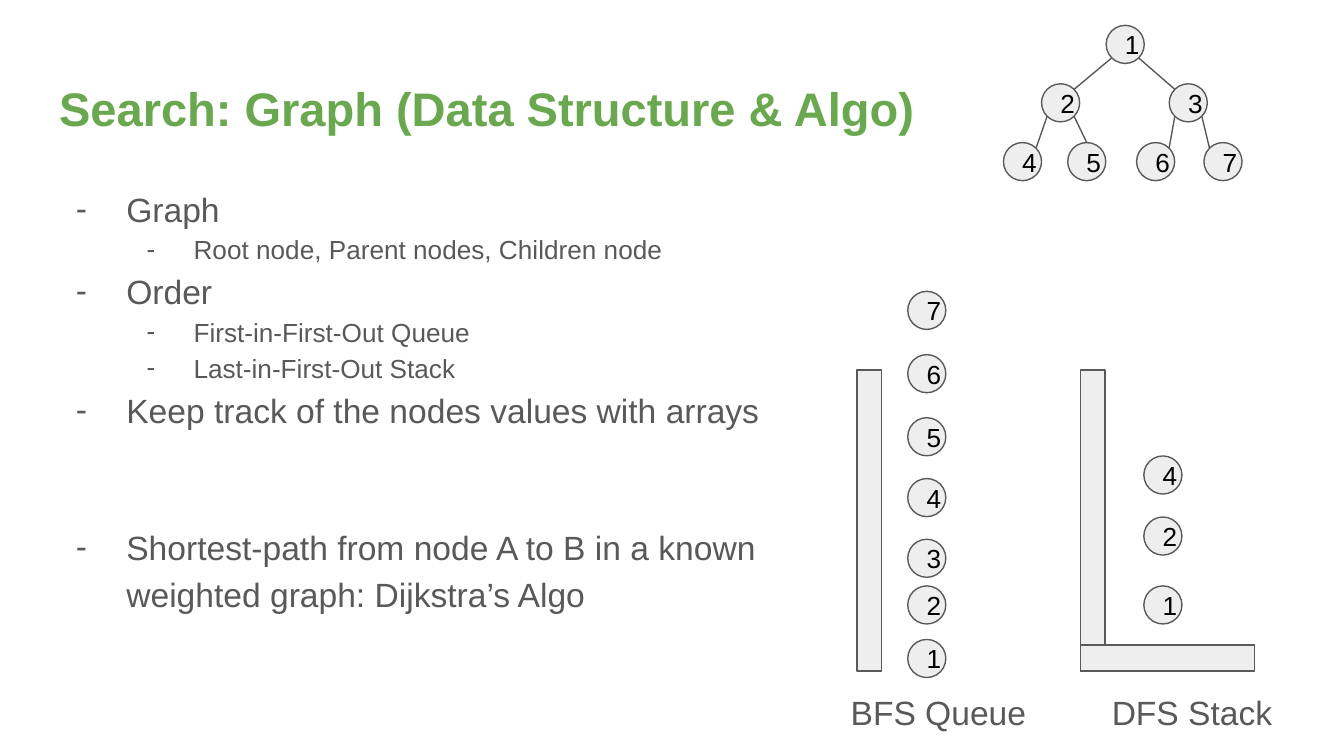
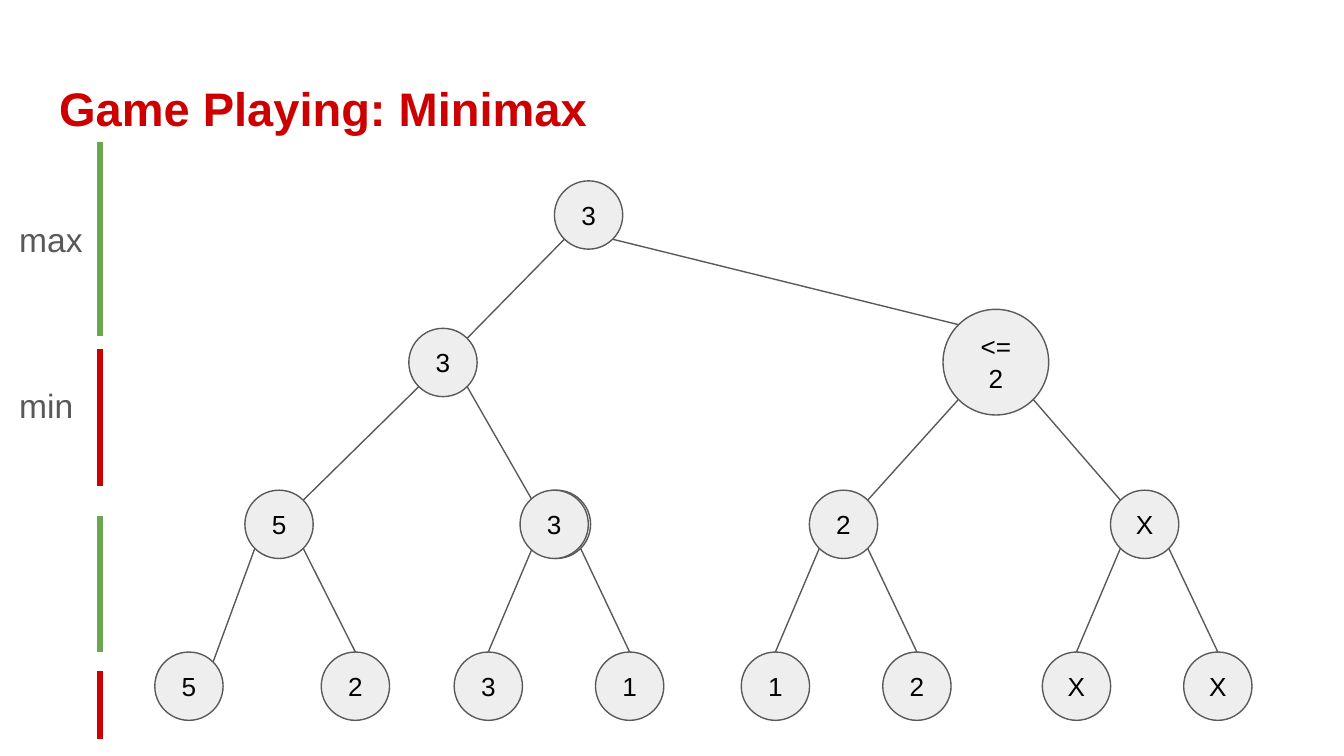
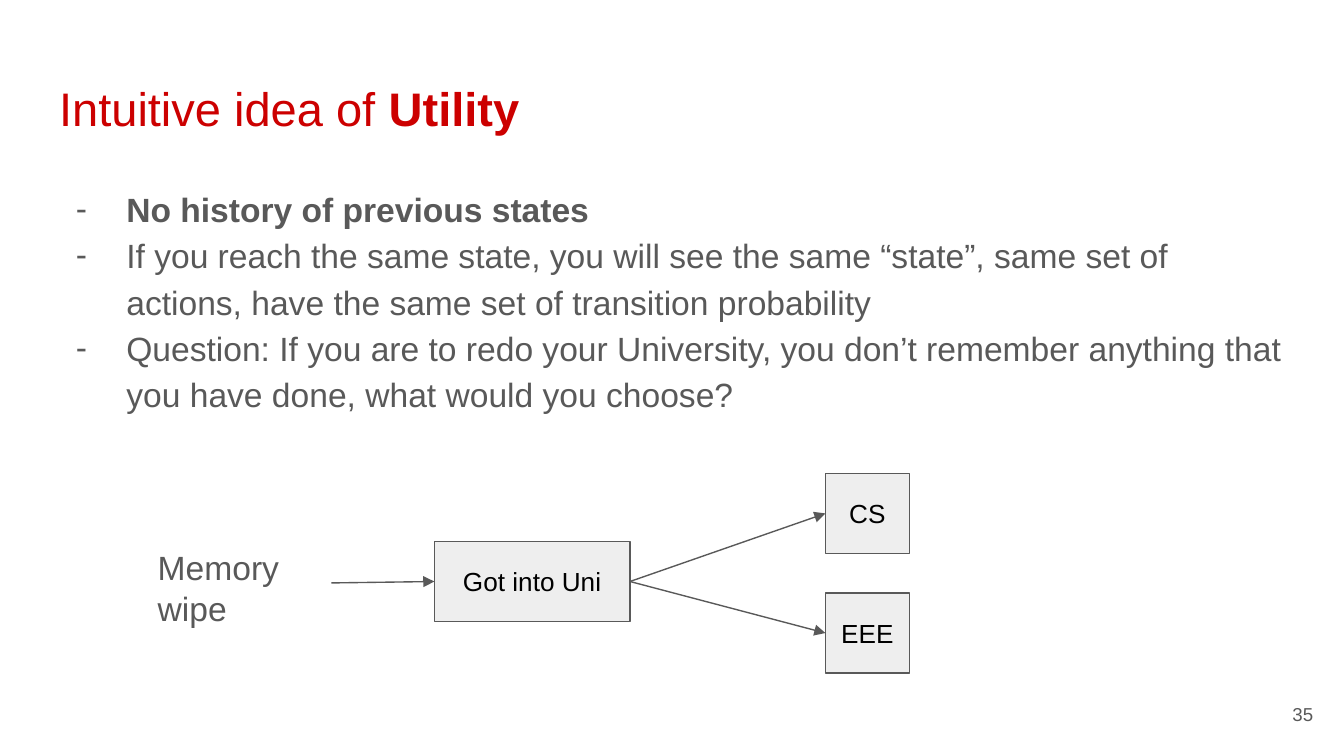
import pptx
import pptx.dml.color
import pptx.enum.shapes
import pptx.enum.text
import pptx.oxml.ns
import pptx.util
from lxml import etree

Pt = pptx.util.Pt
RGBColor = pptx.dml.color.RGBColor
SHAPES = pptx.enum.shapes.MSO_SHAPE
ANCHOR = pptx.enum.text.MSO_ANCHOR
ALIGN = pptx.enum.text.PP_ALIGN
qn = pptx.oxml.ns.qn

GREEN = RGBColor(0x6A, 0xA8, 0x4F)
RED = RGBColor(0xCC, 0x00, 0x00)
GRAY = RGBColor(0x59, 0x59, 0x59)
PALE = RGBColor(0xEE, 0xEE, 0xEE)
BLACK = RGBColor(0x00, 0x00, 0x00)

TITLE_AND_BODY, TITLE_ONLY = 1, 5
TEXT_LEFT, TITLE_TOP, BODY_TOP, FULL_WIDTH = 24.5, 35.3, 90.7, 671
SMALL_NODE, LARGE_NODE, WIDE_NODE = 20.4, 36.6, 56.6
LEVELS = [
    {"size": 18, "margin": 36, "indent": -27},
    {"size": 14, "margin": 72, "indent": -25.2},
]
FRAME_FORMAT = {
    "word_wrap": True,
    "auto_size": pptx.enum.text.MSO_AUTO_SIZE.NONE,
    "margin_left": Pt(7.2),
    "margin_right": Pt(7.2),
    "margin_top": Pt(7.2),
    "margin_bottom": Pt(7.2),
}

# Places on a circle's rim, as horizontal and vertical direction from its centre
TOP = (0, -1)
TOP_LEFT, TOP_RIGHT = (-0.71, -0.71), (0.71, -0.71)
BOTTOM_LEFT, BOTTOM_RIGHT = (-0.71, 0.71), (0.71, 0.71)


def set_attributes(target, values):
    for name, value in values.items():
        setattr(target, name, value)


def place(shape, left, top, width, height):
    set_attributes(shape, {"left": Pt(left), "top": Pt(top),
                           "width": Pt(width), "height": Pt(height)})


def format_frame(shape, anchor):
    set_attributes(shape.text_frame, {**FRAME_FORMAT, "vertical_anchor": anchor})


def add_run(paragraph, text, size, color, bold=False):
    run = paragraph.add_run()
    run.text = text
    set_attributes(run.font, {"name": "Arial", "size": Pt(size), "bold": bold})
    run.font.color.rgb = color


def write(shape, text, size, color, align=ALIGN.LEFT, anchor=ANCHOR.TOP):
    format_frame(shape, anchor)
    paragraph = shape.text_frame.paragraphs[0]
    paragraph.alignment = align
    add_run(paragraph, text, size, color)


def add_slide(presentation, layout, title_runs, color, title_width=FULL_WIDTH):
    """Add a slide whose title is a list of (text, bold) runs."""
    slide = presentation.slides.add_slide(presentation.slide_layouts[layout])
    title = slide.shapes.title
    place(title, TEXT_LEFT, TITLE_TOP, title_width, 45.4)
    format_frame(title, ANCHOR.TOP)
    paragraph = title.text_frame.paragraphs[0]
    paragraph.alignment = ALIGN.LEFT
    for text, bold in title_runs:
        add_run(paragraph, text, 25.2, color, bold)
    return slide


def add_dash(paragraph, margin, indent):
    properties = paragraph._p.get_or_add_pPr()
    properties.set("marL", str(Pt(margin)))
    properties.set("indent", str(Pt(indent)))
    bullet_color = etree.SubElement(properties, qn("a:buClr"))
    etree.SubElement(bullet_color, qn("a:srgbClr"), val=str(GRAY))
    etree.SubElement(properties, qn("a:buFont"), typeface="Arial")
    etree.SubElement(properties, qn("a:buChar"), char="-")


def fill_body(slide, width, height, items):
    """Fill the body with (text, level, bold, space before) items."""
    body = slide.placeholders[1]
    place(body, TEXT_LEFT, BODY_TOP, width, height)
    format_frame(body, ANCHOR.TOP)
    frame = body.text_frame
    for index, (text, level, bold, space) in enumerate(items):
        paragraph = frame.add_paragraph() if index else frame.paragraphs[0]
        style = LEVELS[level]
        add_dash(paragraph, style["margin"], style["indent"])
        set_attributes(paragraph, {"level": level, "line_spacing": 1.15,
                                   "space_before": Pt(space), "alignment": ALIGN.LEFT})
        add_run(paragraph, text, style["size"], GRAY, bold)


def add_label(slide, text, left, top, width, height, size=18, **options):
    label = slide.shapes.add_textbox(Pt(left), Pt(top), Pt(width), Pt(height))
    write(label, text, size, GRAY, **options)
    return label


def add_figure(slide, kind, left, top, width, height, text=""):
    figure = slide.shapes.add_shape(kind, Pt(left), Pt(top), Pt(width), Pt(height))
    figure.shadow.inherit = False
    figure.fill.solid()
    figure.fill.fore_color.rgb = PALE
    figure.line.color.rgb = GRAY
    figure.line.width = Pt(0.75)
    if text:
        write(figure, text, 14, BLACK, ALIGN.CENTER, ANCHOR.MIDDLE)
    return figure


def add_node(slide, text, left, top, diameter):
    return add_figure(slide, SHAPES.OVAL, left, top, diameter, diameter, text)


def add_line(slide, start, end, color=GRAY, weight=0.75):
    line = slide.shapes.add_connector(
        pptx.enum.shapes.MSO_CONNECTOR.STRAIGHT, *map(Pt, start + end))
    line.line.color.rgb = color
    line.line.width = Pt(weight)
    etree.SubElement(line._element.spPr, qn("a:effectLst"))
    return line


def add_arrow(slide, source, target):
    """Join the right side of source to the left side of target."""
    arrow = add_line(slide, (0, 0), (0, 0))
    arrow.begin_connect(source, 3)
    arrow.end_connect(target, 1)
    etree.SubElement(arrow.line._get_or_add_ln(), qn("a:tailEnd"), type="triangle")


def rim_point(node, direction):
    text, left, top, diameter = node
    radius = diameter / 2
    return (left + radius * (1 + direction[0]), top + radius * (1 + direction[1]))


def draw_tree(slide, nodes, edges):
    for node in nodes.values():
        add_node(slide, *node)
    for parent, parent_side, child, child_side in edges:
        add_line(slide, rim_point(nodes[parent], parent_side),
                 rim_point(nodes[child], child_side))


def build_graph_slide(presentation):
    slide = add_slide(presentation, TITLE_AND_BODY,
                      [("Search: Graph (Data Structure & Algo)", True)], GREEN, 492.5)
    fill_body(slide, 404.6, 269.3, [
        ("Graph", 0, False, 0),
        ("Root node, Parent nodes, Children node", 1, False, 0),
        ("Order", 0, False, 0),
        ("First-in-First-Out Queue", 1, False, 0),
        ("Last-in-First-Out Stack", 1, False, 0),
        ("Keep track of the nodes values with arrays", 0, False, 0),
        ("Shortest-path from node A to B in a known weighted graph: Dijkstra’s Algo",
         0, False, 48.8),
    ])

    places = [(592.6, 13.6), (558, 44.9), (626.4, 44.9),
              (537.6, 76.4), (572, 76.4), (608.9, 76.4), (645, 76.4)]
    nodes = {number: (str(number), left, top, SMALL_NODE)
             for number, (left, top) in enumerate(places, 1)}
    draw_tree(slide, nodes, [
        (1, BOTTOM_LEFT, 2, TOP_RIGHT),
        (1, BOTTOM_RIGHT, 3, TOP_LEFT),
        (2, BOTTOM_LEFT, 4, TOP_RIGHT),
        (2, BOTTOM_RIGHT, 5, TOP),
        (3, BOTTOM_LEFT, 6, TOP_RIGHT),
        (3, BOTTOM_RIGHT, 7, TOP_LEFT),
    ])

    add_label(slide, "BFS Queue", 448.6, 363.6, 110, 31.7)
    add_label(slide, "DFS Stack", 588.5, 363.6, 110, 31.7)
    for wall_left in (459.1, 578.9):
        add_figure(slide, SHAPES.RECTANGLE, wall_left, 198.2, 13.2, 161.4)
    add_figure(slide, SHAPES.RECTANGLE, 578.9, 345.6, 93.3, 14)

    queue_tops = [342.6, 313.9, 288.9, 256.4, 223.8, 190, 156.1]
    for number, top in enumerate(queue_tops, 1):
        add_node(slide, str(number), 486.3, top, SMALL_NODE)
    for number, top in ((1, 313.9), (2, 277), (4, 244.3)):
        add_node(slide, str(number), 612.8, top, SMALL_NODE)


def build_minimax_slide(presentation):
    slide = add_slide(presentation, TITLE_ONLY, [("Game Playing: Minimax", True)], RED)
    for index, (top, bottom) in enumerate(
            [(76.2, 180), (187.1, 260.4), (276.2, 349.3), (359.5, 396)]):
        add_line(slide, (53.5, top), (53.5, bottom), (GREEN, RED)[index % 2], 3)
    add_label(slide, "max", 3.2, 110, 56.2, 35.3)
    add_label(slide, "min", 3.2, 199.2, 44.6, 35.3)

    middle_top, leaf_top = 262.6, 349.3
    nodes = {
        "root": ("3", 297, 96.9, LARGE_NODE),
        "left": ("3", 219, 175.9, LARGE_NODE),
        "right": ("<= 2", 505.2, 165.7, WIDE_NODE),
    }
    for name, text, left in (("a", "5", 131.2), ("b", "", 279.8),
                             ("c", "2", 433.6), ("d", "X", 594.9)):
        nodes[name] = (text, left, middle_top, LARGE_NODE)
    leaves = (("a1", "5", 82.9), ("a2", "2", 172.1), ("b1", "3", 243.3),
              ("b2", "1", 319), ("c1", "1", 397.1), ("c2", "2", 472.9),
              ("d1", "X", 558.4), ("d2", "X", 634.1))
    for name, text, left in leaves:
        nodes[name] = (text, left, leaf_top, LARGE_NODE)

    edges = [
        ("root", BOTTOM_LEFT, "left", TOP_RIGHT),
        ("root", BOTTOM_RIGHT, "right", TOP_LEFT),
        ("left", BOTTOM_LEFT, "a", TOP_RIGHT),
        ("left", BOTTOM_RIGHT, "b", TOP_LEFT),
        ("right", BOTTOM_LEFT, "c", TOP_RIGHT),
        ("right", BOTTOM_RIGHT, "d", TOP_LEFT),
    ]
    for parent in "abcd":
        edges.append((parent, BOTTOM_LEFT, parent + "1",
                      TOP_RIGHT if parent == "a" else TOP))
        edges.append((parent, BOTTOM_RIGHT, parent + "2", TOP))
    draw_tree(slide, nodes, edges)
    add_node(slide, "3", 278.6, middle_top, LARGE_NODE)


def build_utility_slide(presentation):
    slide = add_slide(presentation, TITLE_AND_BODY,
                      [("Intuitive idea of ", False), ("Utility", True)], RED)
    fill_body(slide, FULL_WIDTH, 126.7, [
        ("No history of previous states", 0, True, 0),
        ("If you reach the same state, you will see the same “state”, same set of "
         "actions, have the same set of transition probability", 0, False, 0),
        ("Question: If you are to redo your University, you don’t remember anything "
         "that you have done, what would you choose?", 0, False, 0),
    ])
    memory = add_label(slide, "Memory wipe", 77.4, 286, 100.1, 52.6)
    university = add_figure(slide, SHAPES.RECTANGLE, 232.7, 290.1, 104.8, 42.9,
                            "Got into Uni")
    add_arrow(slide, memory, university)
    for text, top in (("CS", 253.6), ("EEE", 317.7)):
        course = add_figure(slide, SHAPES.RECTANGLE, 442.2, top, 45, 42.9, text)
        add_arrow(slide, university, course)
    add_label(slide, "35", 667.4, 367.2, 43.2, 31, size=10,
              align=ALIGN.RIGHT, anchor=ANCHOR.MIDDLE)


def main():
    presentation = pptx.Presentation()
    presentation.slide_width = Pt(720)
    presentation.slide_height = Pt(405)
    build_graph_slide(presentation)
    build_minimax_slide(presentation)
    build_utility_slide(presentation)
    presentation.save("out.pptx")


if __name__ == "__main__":
    main()
